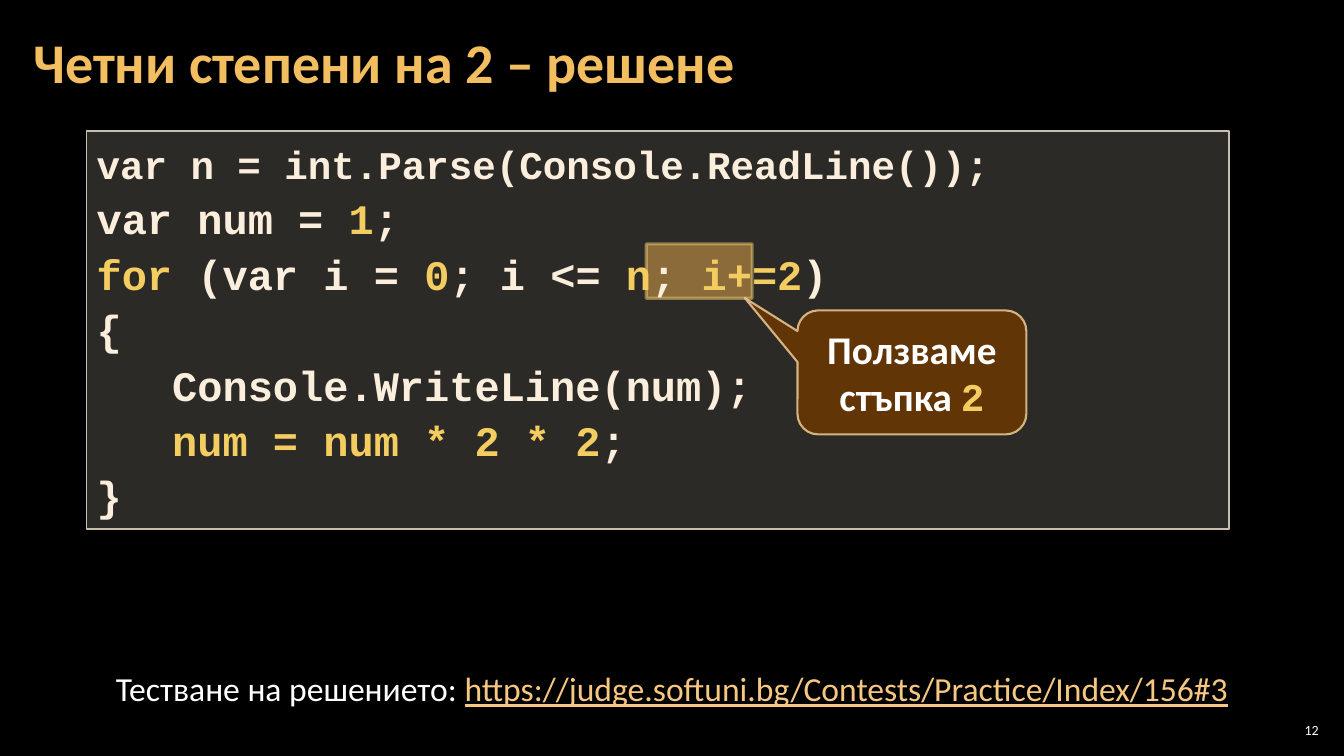
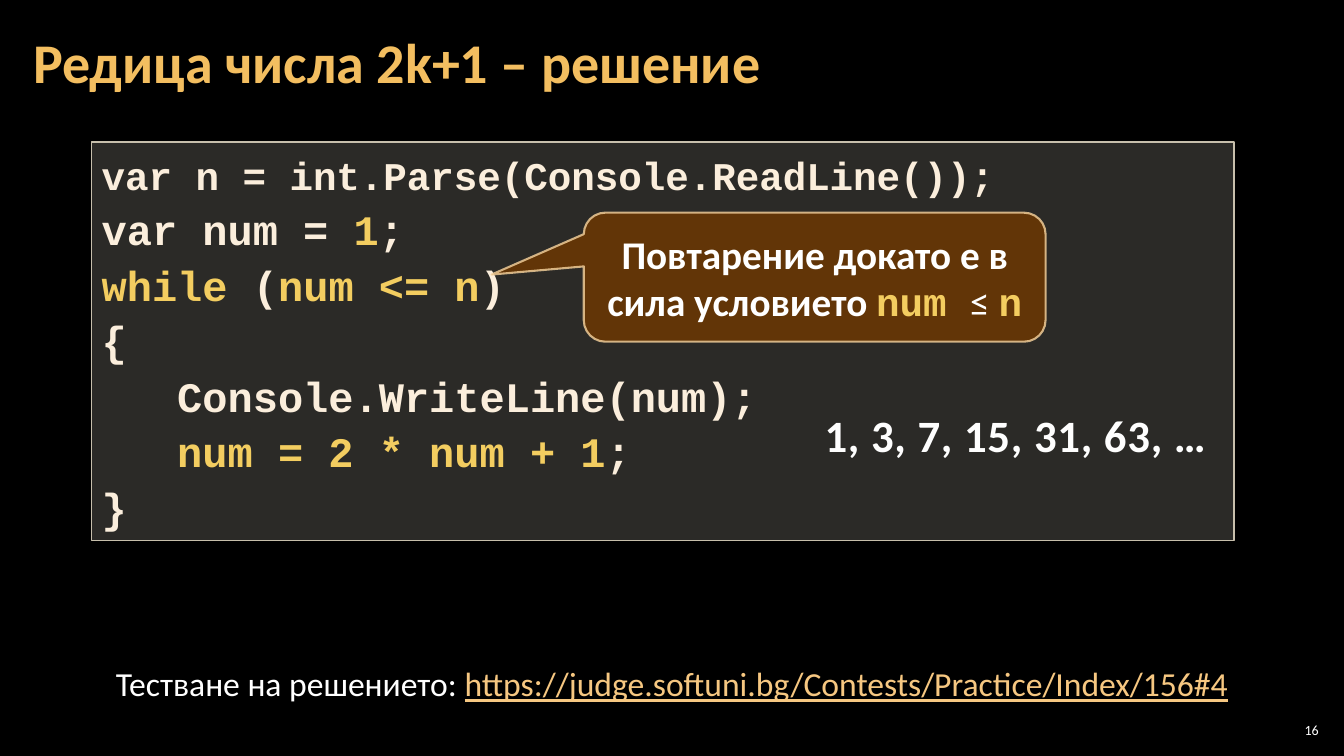
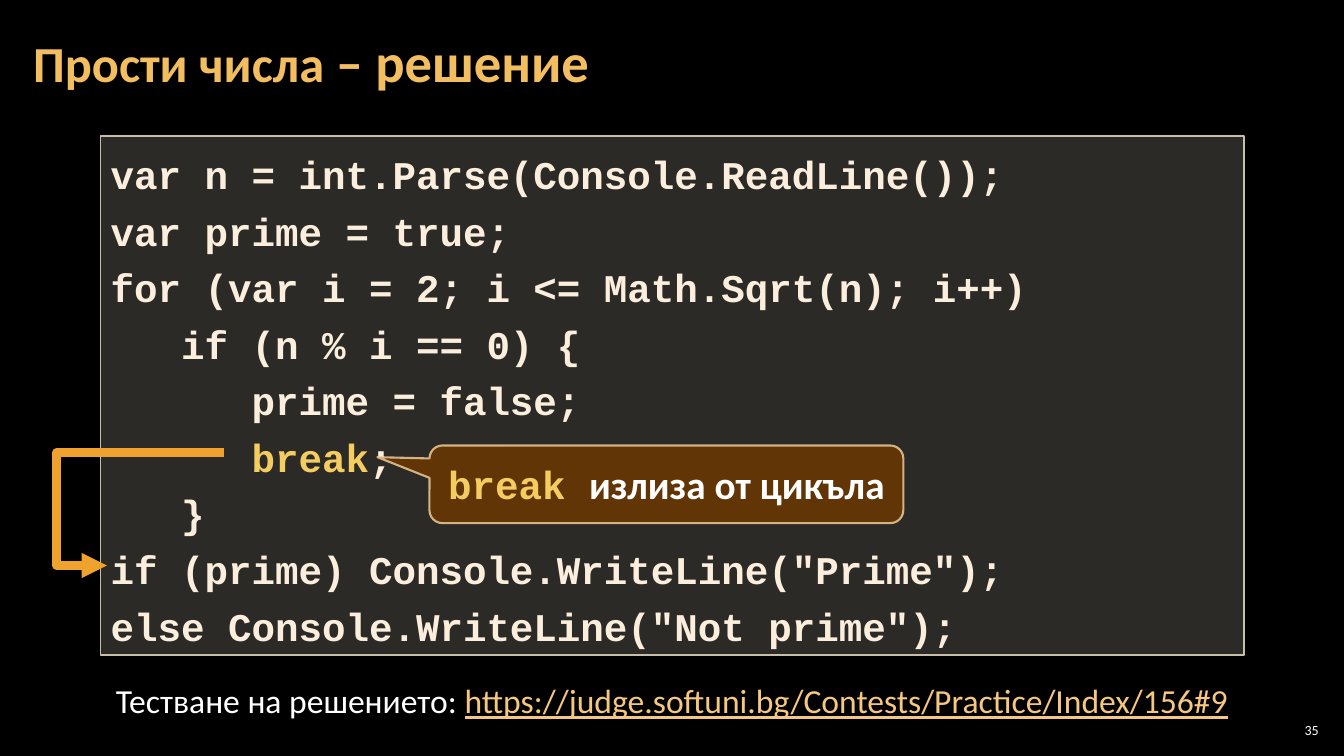
from lxml.etree import SubElement
from pptx import Presentation
from pptx.dml.color import RGBColor
from pptx.enum.shapes import MSO_CONNECTOR, MSO_SHAPE
from pptx.enum.text import MSO_ANCHOR, MSO_AUTO_SIZE, PP_ALIGN
from pptx.oxml import parse_xml
from pptx.oxml.ns import nsdecls, qn
from pptx.util import Inches, Pt

COLORS = {
    "background": "000000", "title": "F3BE60", "white": "FFFFFF",
    "code": "FBEEDC", "key": "F3CD60", "link": "F6C781",
    "panel": "D9D5C7", "panel_line": "C7BFAC",
    "callout": "663606", "callout_line": "F8D49E",
    "accent": "F0A22E", "sequence": "FEFEFE",
}
# Text style: colour, font, bold, underline
STYLES = {
    "title": ("title", "Calibri", True, False),
    "number": ("white", "Calibri", False, False),
    "plain": ("white", "Calibri", False, False),
    "strong": ("white", "Calibri", True, False),
    "link": ("link", "Calibri", False, True),
    "code": ("code", "Courier New", True, False),
    "key": ("key", "Courier New", True, False),
    "sequence": ("sequence", "Calibri", True, False),
}
JUDGE = "https://judge.softuni.bg/Contests/Practice/Index/156#"


def color(name):
    return RGBColor.from_string(COLORS[name])


def code_spans(line, size):
    """Split a code line at backticks; every second part is highlighted."""
    parts = enumerate(line.split("`"))
    return [(text, "key" if index % 2 else "code", size) for index, text in parts if text]


class Builder:
    """Holds the deck, the current slide and the shared style."""

    def __init__(self):
        self.deck = Presentation()
        self.deck.slide_width, self.deck.slide_height = Inches(13.33), Inches(7.5)
        self.page = None

    def start_page(self, title, number):
        self.page = self.deck.slides.add_slide(self.deck.slide_layouts[6])
        self.page.background.fill.solid()
        self.page.background.fill.fore_color.rgb = color("background")
        self.text((12.65, 7.14, 0.47, 0.21), [(str(number), "number", 10)],
                  PP_ALIGN.RIGHT, MSO_ANCHOR.MIDDLE, margins=(0.04, 0.04))
        box = self.text((0.21, 0.04, 10.47, 1.21),
                        [(text, "title", size) for text, size in title],
                        anchor=MSO_ANCHOR.MIDDLE, margins=(0.12, 0.04))
        box.text_frame.paragraphs[0].line_spacing = 0.9

    def add_spans(self, para, spans, align=PP_ALIGN.LEFT):
        para.alignment = align
        for text, style, size in spans:
            name, font, bold, underline = STYLES[style]
            span = para.add_run()
            span.text = text
            span.font.size, span.font.name = Pt(size), font
            span.font.bold, span.font.underline = bold, underline
            span.font.color.rgb = color(name)

    def text(self, place, spans, align=PP_ALIGN.LEFT, anchor=MSO_ANCHOR.TOP,
             margins=(0.1, 0.05), wrap=True):
        box = self.page.shapes.add_textbox(*map(Inches, place))
        frame = box.text_frame
        frame.word_wrap, frame.vertical_anchor = wrap, anchor
        frame.margin_left = frame.margin_right = Inches(margins[0])
        frame.margin_top = frame.margin_bottom = Inches(margins[1])
        self.add_spans(frame.paragraphs[0], spans, align)
        return box

    def shape(self, kind, place, fill, line, width, fill_alpha=100, line_alpha=100):
        shape = self.page.shapes.add_shape(kind, *map(Inches, place))
        shape.shadow.inherit = False
        shape.fill.solid()
        shape.fill.fore_color.rgb = color(fill)
        shape.line.color.rgb = color(line)
        shape.line.width = Pt(width)
        shape.text_frame.word_wrap = True
        properties = shape._element.spPr
        for route, alpha in (("a:solidFill", fill_alpha), ("a:ln/a:solidFill", line_alpha)):
            if alpha < 100:
                paint = properties.xpath(f"./{route}/a:srgbClr")[0]
                SubElement(paint, qn("a:alpha")).set("val", str(alpha * 1000))
        return shape

    def highlight(self, place):
        self.shape(MSO_SHAPE.RECTANGLE, place, "accent", "key", 2.25, 50, 50)

    def code_panel(self, place, lines, spacing, size, first_size=28):
        panel = self.shape(MSO_SHAPE.RECTANGLE, place, "panel", "panel_line", 1, 20)
        frame = panel.text_frame
        frame.vertical_anchor = MSO_ANCHOR.TOP
        frame.auto_size = MSO_AUTO_SIZE.SHAPE_TO_FIT_TEXT
        for index, line in enumerate(lines):
            para = frame.add_paragraph() if index else frame.paragraphs[0]
            para.line_spacing = spacing
            self.add_spans(para, code_spans(line, size if index else first_size))

    def callout(self, place, tip, spans):
        box = self.shape(MSO_SHAPE.ROUNDED_RECTANGULAR_CALLOUT, place,
                         "callout", "callout_line", 1.5, 95, 80)
        for index, value in enumerate((*tip, 0.167)):
            box.adjustments[index] = value
        box.text_frame.vertical_anchor = MSO_ANCHOR.MIDDLE
        self.add_spans(box.text_frame.paragraphs[0],
                       [(text, style, 28) for text, style in spans], PP_ALIGN.CENTER)

    def test_link(self, top, task):
        self.text((0.83, top, 11.67, 0.5),
                  [("Тестване на решението: ", "plain", 24), (f"{JUDGE}{task}", "link", 24)],
                  PP_ALIGN.CENTER)

    def sequence(self, place, numbers):
        box = self.text(place, [(numbers, "sequence", 32)], wrap=False)
        properties = box.text_frame.paragraphs[0].runs[0].font._element
        properties.set("spc", "50")
        accent = f'<a:solidFill><a:srgbClr val="{COLORS["accent"]}"/></a:solidFill>'
        properties.insert(0, parse_xml(f'<a:ln {nsdecls("a")} w="9525">{accent}</a:ln>'))
        properties.insert(2, parse_xml(
            f'<a:effectLst {nsdecls("a")}><a:outerShdw dist="25400" dir="2700000">'
            f'<a:srgbClr val="{COLORS["accent"]}"/></a:outerShdw></a:effectLst>'))

    def bent_arrow(self, start, end, bend):
        arrow = self.page.shapes.add_connector(
            MSO_CONNECTOR.ELBOW, *map(Inches, (*start, *end)))
        arrow.line.color.rgb = color("accent")
        arrow.line.width = Pt(6)
        properties = arrow._element.spPr
        SubElement(properties.find(qn("a:ln")), qn("a:tailEnd")).set("type", "triangle")
        SubElement(properties, qn("a:effectLst"))
        guide = SubElement(properties.find(qn("a:prstGeom")).find(qn("a:avLst")), qn("a:gd"))
        guide.set("name", "adj1")
        guide.set("fmla", f"val {round(bend * 100000)}")


def main():
    builder = Builder()

    # Even powers of 2
    builder.start_page([("Четни степени на 2 – решене", 40)], 12)
    builder.highlight((6.41, 2.42, 1.05, 0.54))
    builder.code_panel((0.86, 1.3, 11.33, 3.95), [
        "var n = int.Parse(Console.ReadLine());",
        "var num = `1`;",
        "`for` (var i = `0`; i <= `n`; `i+=2`)",
        "{",
        "   Console.WriteLine(num);",
        "   `num = num * 2 * 2`;",
        "}",
    ], 1.1, 30)
    builder.test_link(6.58, 3)
    builder.callout((7.91, 3.08, 2.27, 1.23), (-0.73, -0.6),
                    [("Ползваме стъпка ", "strong"), ("2", "key")])

    # Sequence 2k+1
    builder.start_page([("Редица числа 2k+1 – решение", 40)], 16)
    builder.code_panel((0.91, 1.41, 11.33, 3.95), [
        "var n = int.Parse(Console.ReadLine());",
        "var num = `1`;",
        "`while `(`num <= n`)",
        "{",
        "   Console.WriteLine(num);",
        "   `num = 2 * num + 1`;",
        "}",
    ], 1.1, 30)
    builder.test_link(6.53, 4)
    builder.callout((5.79, 2.11, 4.58, 1.28), (-0.7, -0.02),
                    [("Повтарение докато е в сила условието ", "strong"),
                     ("num ", "key"), ("≤ ", "plain"), ("n", "key")])
    builder.sequence((8.08, 4, 4.03, 0.64), "1, 3, 7, 15, 31, 63, …")

    # Prime numbers
    builder.start_page([("Прости числа ", 36), ("– решение", 39)], 35)
    builder.code_panel((1, 1.35, 11.34, 5.15), [
        "var n = int.Parse(Console.ReadLine());",
        "var prime = true;",
        "for (var i = 2; i <= Math.Sqrt(n); i++)",
        "   if (n % i == 0) {",
        "      prime = false;",
        "      `break`;",
        "   }",
        'if (prime) Console.WriteLine("Prime");',
        'else Console.WriteLine("Not prime");',
    ], 1.2, 28)
    builder.test_link(6.7, 9)
    builder.callout((4.26, 4.42, 4.7, 0.77), (-0.61, -0.35),
                    [("break ", "key"), ("излиза от цикъла", "strong")])
    builder.bent_arrow((2.22, 4.49), (1.06, 5.61), 1.43)

    builder.deck.save("out.pptx")


if __name__ == "__main__":
    main()
